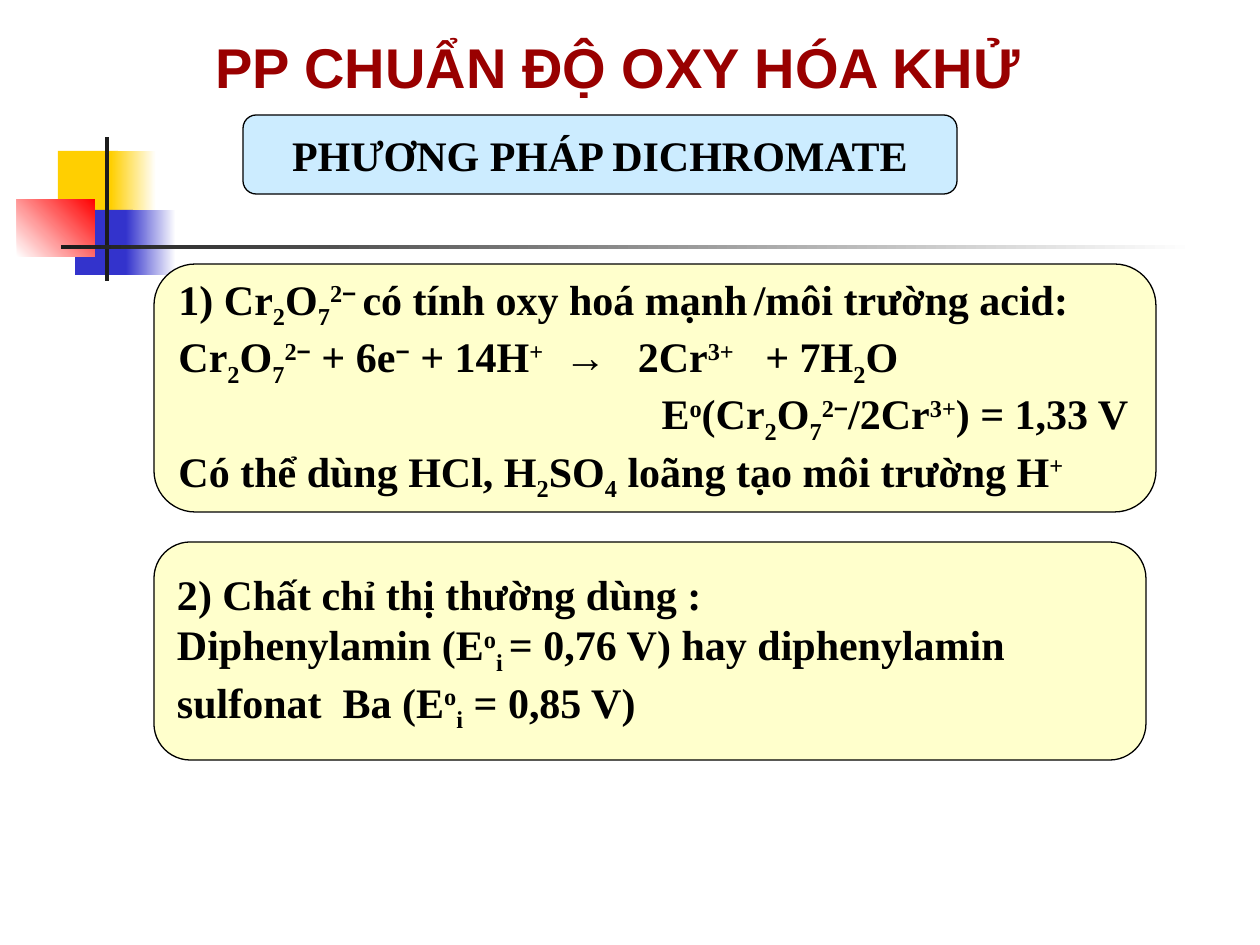
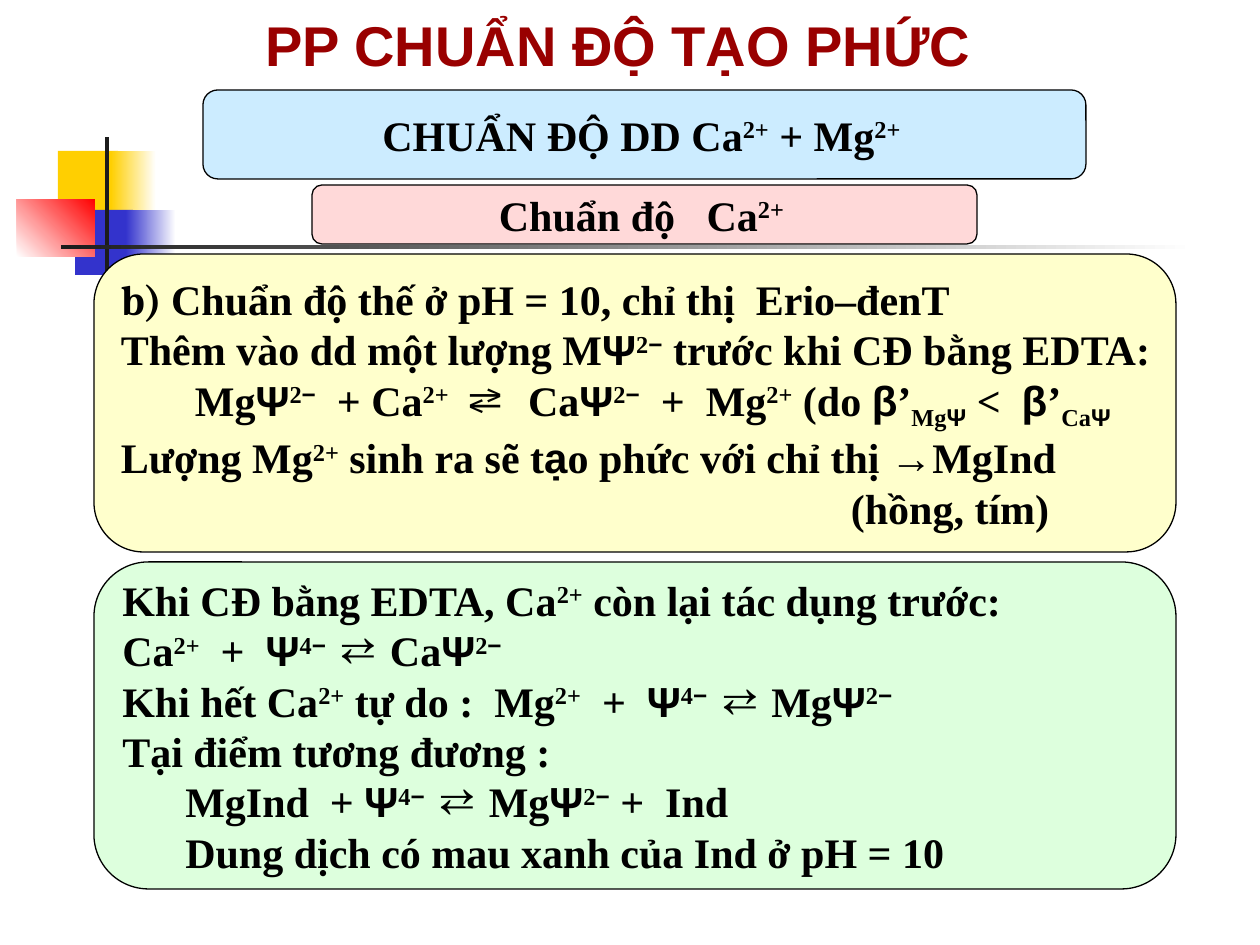
"""Build two chemistry slides on dichromate and EDTA titration."""
from itertools import groupby

from pptx import Presentation
from pptx.dml.color import RGBColor
from pptx.enum.shapes import MSO_SHAPE
from pptx.enum.text import MSO_ANCHOR, PP_ALIGN
from pptx.util import Pt

RECT, ROUNDED = MSO_SHAPE.RECTANGLE, MSO_SHAPE.ROUNDED_RECTANGLE
MIDDLE = MSO_ANCHOR.MIDDLE
LEFT, CENTER = PP_ALIGN.LEFT, PP_ALIGN.CENTER

BLACK = RGBColor(0x00, 0x00, 0x00)
WHITE = RGBColor(0xFF, 0xFF, 0xFF)
CHARCOAL = RGBColor(0x1C, 0x1C, 0x1C)
GOLD = RGBColor(0xFF, 0xCF, 0x01)
BLUE = RGBColor(0x33, 0x33, 0xCC)
RED = RGBColor(0xFF, 0x00, 0x00)
MAROON = RGBColor(0x99, 0x00, 0x00)
SKY = RGBColor(0xCC, 0xEC, 0xFF)
CREAM = RGBColor(0xFF, 0xFF, 0xCC)
MINT = RGBColor(0xDD, 0xFF, 0xDD)
PINK = RGBColor(0xFF, 0xD9, 0xD9)

SERIF, SANS = "Times New Roman", "Arial"
SANS_SYMBOLS = "Ψβ−→"
STYLES = {"^": (30000, SERIF), "_": (-25000, SERIF),
          "~": (0, SANS), "@": (0, "Cambria")}
EMU_PER_PX = 914400 / 126


def px(*lengths):
    return [round(n * EMU_PER_PX) for n in lengths]


def write(sp, lines, size, color, align, font=SERIF):
    tf = sp.text_frame
    tf.word_wrap = False
    tf.vertical_anchor = MIDDLE
    for i, (indent, line) in enumerate(lines):
        p = tf.paragraphs[0] if i == 0 else tf.add_paragraph()
        p.alignment = align
        if indent:
            p._p.get_or_add_pPr().set("marL", str(px(indent)[0]))
        for piece in line.split("|"):
            base, face = STYLES.get(piece[0], (0, font))
            text = piece[1:] if piece[0] in STYLES else piece
            for symbol, chars in groupby(text, lambda c: c in SANS_SYMBOLS):
                r = p.add_run()
                r.text = "".join(chars)
                r.font.name = SANS if symbol else face
                r.font.size = Pt(size)
                r.font.bold = True
                r.font.color.rgb = color
                if base:
                    r.font._element.set("baseline", str(base))


DECOR = [
    ((58, 151, 60, 66), GOLD, None, 0),
    ((111, 151, 45, 66), GOLD, WHITE, 0),
    ((75, 210, 58, 65), BLUE, None, 0),
    ((126, 210, 50, 65), BLUE, WHITE, 0),
    ((17, 199, 78, 58), WHITE, RED, 45),
    ((105, 137, 4, 144), CHARCOAL, None, 0),
    ((61, 245, 1134, 4), CHARCOAL, WHITE, 0),
]

SLIDES = [
    ("PP CHUẨN ĐỘ OXY HÓA KHỬ", 26, [
        ((243, 115, 714, 79), SKY, CENTER, [(0, "PHƯƠNG PHÁP DICHROMATE")]),
        ((154, 264, 1002, 248), CREAM, LEFT, [
            (0, "1) Cr|_2|O|_7|^2− |có tính oxy hoá mạnh|^ |/môi trường acid:"),
            (0, "Cr|_2|O|_7|^2−| + 6e|^−| + 14H|^+|  →   2Cr|^3+|   + 7H|_2|O"),
            (483, "E|^o|(Cr|_2|O|_7|^2−|/2Cr|^3+|) = 1,33 V"),
            (0, "Có thể dùng HCl, H|_2|SO|_4| loãng tạo môi trường H|^+"),
        ]),
        ((154, 542, 992, 218), CREAM, LEFT, [
            (0, "2) Chất chỉ thị thường dùng :"),
            (0, "Diphenylamin (E|^o|_i |= 0,76 V) hay diphenylamin"),
            (0, "sulfonat  Ba (E|^o|_i| = 0,85 V)"),
        ]),
    ]),
    ("PP CHUẨN ĐỘ TẠO PHỨC", 4, [
        ((94, 254, 1082, 298), CREAM, LEFT, [
            (0, "@b) |Chuẩn độ thế ở pH = 10, chỉ thị  Erio–đenT"),
            (0, "Thêm vào dd một lượng MΨ|^2−| trước khi CĐ bằng EDTA:"),
            (74, "MgΨ|^2−|  + Ca|^2+ | ⇄  CaΨ|^2−|  +  Mg|^2+"
                 "| (do β’|_MgΨ| <  β’|_CaΨ"),
            (0, "Lượng Mg|^2+| sinh ra sẽ t|~ạ|o phức với chỉ thị →MgInd"),
            (730, "(hồng, tím)"),
        ]),
        ((94, 562, 1082, 327), MINT, LEFT, [
            (0, "Khi CĐ bằng EDTA, Ca|^2+| còn lại tác dụng trước:"),
            (0, "Ca|^2+|  +  Ψ|^4−|~ ⇄| CaΨ|^2−"),
            (0, "Khi hết Ca|^2+| tự do :  Mg|^2+|  +  Ψ|^4−|~ ⇄| MgΨ|^2−"),
            (0, "Tại điểm tương đương :"),
            (63, "MgInd  + Ψ|^4−|~ ⇄| MgΨ|^2−| +  Ind"),
            (63, "Dung dịch có mau xanh của Ind ở pH = 10"),
        ]),
        ((203, 90, 883, 89), SKY, CENTER, [
            (0, "CHUẨN ĐỘ DD Ca|^2+| + Mg|^2+ ")]),
        ((312, 185, 665, 59), PINK, CENTER, [(0, "Chuẩn độ   Ca|^2+ ")]),
    ]),
]

prs = Presentation()
prs.slide_width, prs.slide_height = px(1260, 945)

for title, title_top, boxes in SLIDES:
    s = prs.slides.add_slide(prs.slide_layouts[6])
    for box, start, end, angle in DECOR:
        sp = s.shapes.add_shape(RECT, *px(*box))
        sp.shadow.inherit = False
        sp.line.fill.background()
        if end is None:
            sp.fill.solid()
            sp.fill.fore_color.rgb = start
        else:
            sp.fill.gradient()
            sp.fill.gradient_angle = angle
            for stop, color, position in zip(sp.fill.gradient_stops, (start, end), (0, 1)):
                stop.color.rgb = color
                stop.position = position
    for box, fill, align, lines in boxes:
        sp = s.shapes.add_shape(ROUNDED, *px(*box))
        sp.shadow.inherit = False
        sp.fill.solid()
        sp.fill.fore_color.rgb = fill
        sp.line.color.rgb = BLACK
        sp.line.width = Pt(0.75)
        write(sp, lines, 24, BLACK, align)
    sp = s.shapes.add_textbox(*px(168, title_top, 900, 81))
    write(sp, [(0, title)], 32, MAROON, CENTER, SANS)

prs.save("out.pptx")
